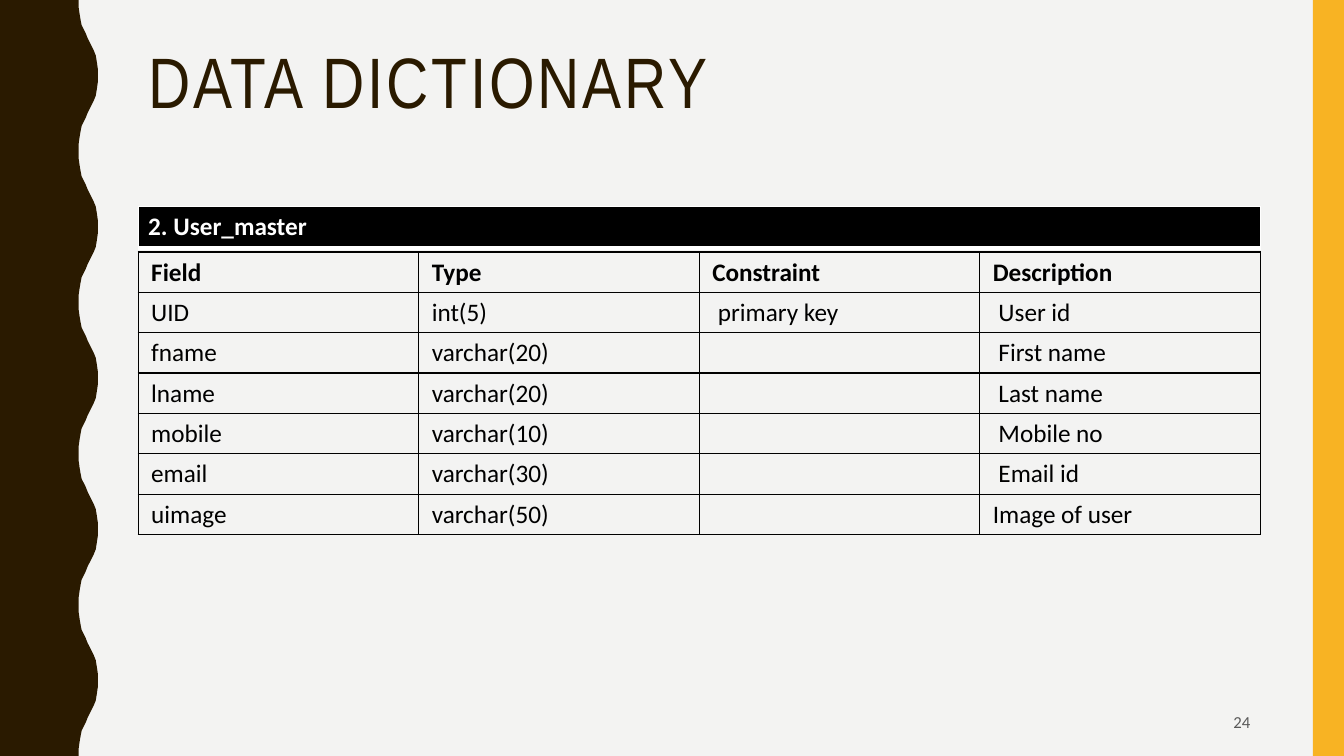
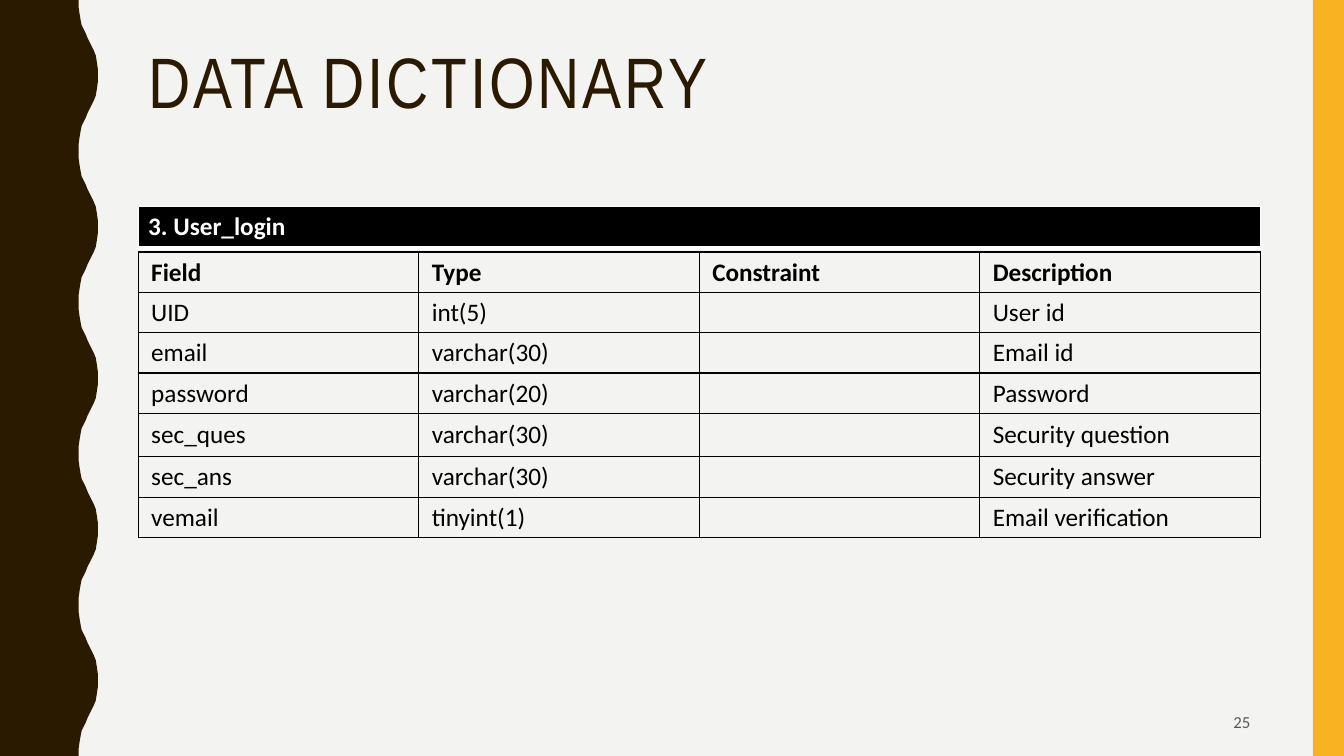
from lxml.etree import SubElement
from pptx import Presentation
from pptx.dml.color import RGBColor
from pptx.enum.shapes import MSO_SHAPE
from pptx.enum.text import MSO_ANCHOR, PP_ALIGN
from pptx.oxml.ns import qn
from pptx.util import Pt

PX = 9144
WIDTH, HEIGHT = 1333, 750

PAPER, BROWN, GOLD = "F3F3F2", "2A1A00", "F8B323"
BLACK, WHITE, GREY = "000000", "FFFFFF", "595959"

TITLE = "DATA DICTIONARY"
TITLE_FONT = {"name": "Arial Narrow", "size": Pt(51), "color": BROWN}
NUMBER_FONT = {"name": "Calibri", "size": Pt(12), "color": GREY}
BODY_FONT = {"name": "Calibri", "size": Pt(18), "color": BLACK, "bold": False}
HEADER_FONT = {**BODY_FONT, "bold": True}
CAPTION_FONT = {**HEADER_FONT, "color": WHITE}

GRID_BORDERS = {side: (BLACK, 1) for side in "LRTB"}
CAPTION_BORDERS = {"L": (WHITE, 1), "R": (WHITE, 1), "T": (WHITE, 1), "B": (WHITE, 3)}

LEFT, CONTENT_WIDTH = 137, 1113
CAPTION_TOP, CAPTION_HEIGHT = 205, 41
GRID_TOP, ROW_HEIGHT = 250, 40

WAVE_PERIOD = 150
WAVE_RISE = [
    (78, 0), (78, 7), (79, 14), (80, 20), (81, 25), (83, 29), (85, 33), (87, 38),
    (89, 42), (91, 46), (93, 50), (95, 55), (96, 61), (97, 68), (97, 75),
]

HEADER = ("Field", "Type", "Constraint", "Description")
ENTITIES = [
    {
        "number": "24",
        "caption": "2. User_master",
        "rows": [
            ("UID", "int(5)", " primary key", " User id"),
            ("fname", "varchar(20)", "", " First name"),
            ("lname", "varchar(20)", "", " Last name"),
            ("mobile", "varchar(10)", "", " Mobile no"),
            ("email", "varchar(30)", "", " Email id"),
            ("uimage", "varchar(50)", "", "Image of user"),
        ],
        "heights": {},
    },
    {
        "number": "25",
        "caption": "3. User_login",
        "rows": [
            ("UID", "int(5)", "", "User id"),
            ("email", "varchar(30)", "", "Email id"),
            ("password", "varchar(20)", "", "Password"),
            ("sec_ques", "varchar(30)", "", "Security question"),
            ("sec_ans", "varchar(30)", "", "Security answer"),
            ("vemail", "tinyint(1)", "", "Email verification"),
        ],
        "heights": {4: 43},
    },
]


def rgb(value):
    return RGBColor.from_string(value)


def scaled(*lengths):
    return [length * PX for length in lengths]


def paint(shape, color):
    shape.shadow.inherit = False
    shape.fill.solid()
    shape.fill.fore_color.rgb = rgb(color)
    shape.line.fill.background()


def write(para, text, font):
    span = para.add_run()
    span.text = text
    for key, value in font.items():
        if key == "color":
            span.font.color.rgb = rgb(value)
        else:
            setattr(span.font, key, value)
    return span


def add_text(page, place, text, font, anchor, **layout):
    frame = page.shapes.add_textbox(*scaled(*place)).text_frame
    frame.word_wrap = True
    frame.vertical_anchor = anchor
    para = frame.paragraphs[0]
    for key, value in layout.items():
        setattr(para, key, value)
    return write(para, text, font)


def add_wave(page):
    points = []
    for top in range(0, HEIGHT, WAVE_PERIOD):
        points += [(x, top + y) for x, y in WAVE_RISE]
        points += [(x, top + WAVE_PERIOD - y) for x, y in reversed(WAVE_RISE[:-1])]
    outline = page.shapes.build_freeform(0, 0, scale=PX)
    outline.add_line_segments(points + [(0, HEIGHT)], close=True)
    paint(outline.convert_to_shape(), BROWN)


def set_borders(cell, borders):
    properties = cell._tc.get_or_add_tcPr()
    for side, (color, width) in borders.items():
        line = SubElement(properties, qn(f"a:ln{side}"), w=str(Pt(width)))
        fill = SubElement(line, qn("a:solidFill"))
        SubElement(fill, qn("a:srgbClr"), val=color)


def add_grid(page, top, rows, heights, fonts, fill, borders, margin):
    columns = len(rows[0])
    place = scaled(LEFT, top, CONTENT_WIDTH, sum(heights))
    table = page.shapes.add_table(len(rows), columns, *place).table
    table.first_row = table.horz_banding = False
    for row, texts, height, font in zip(table.rows, rows, heights, fonts):
        row.height = height * PX
        for cell, text in zip(row.cells, texts):
            set_borders(cell, borders)
            cell.fill.solid()
            cell.fill.fore_color.rgb = rgb(fill)
            cell.margin_left = cell.margin_right = margin * PX
            cell.vertical_anchor = MSO_ANCHOR.MIDDLE
            if text:
                write(cell.text_frame.paragraphs[0], text, font)


def add_page(deck, entity):
    page = deck.slides.add_slide(deck.slide_layouts[6])
    add_wave(page)
    band = page.shapes.add_shape(MSO_SHAPE.RECTANGLE, *scaled(1302, 0, 31, HEIGHT))
    paint(band, GOLD)
    title = add_text(page, (LEFT, 42, CONTENT_WIDTH, 163), TITLE, TITLE_FONT,
                     MSO_ANCHOR.TOP, line_spacing=0.9)
    title.font._element.set("spc", "200")
    rows = [HEADER] + entity["rows"]
    heights = [entity["heights"].get(index, ROW_HEIGHT) for index in range(len(rows))]
    fonts = [HEADER_FONT] + [BODY_FONT] * len(entity["rows"])
    add_grid(page, GRID_TOP, rows, heights, fonts, PAPER, GRID_BORDERS, 13)
    add_text(page, (942, 697, 308, 38), entity["number"], NUMBER_FONT,
             MSO_ANCHOR.MIDDLE, alignment=PP_ALIGN.RIGHT)
    add_grid(page, CAPTION_TOP, [(entity["caption"],)], [CAPTION_HEIGHT],
             [CAPTION_FONT], BLACK, CAPTION_BORDERS, 10)


def main():
    deck = Presentation()
    deck.slide_width, deck.slide_height = scaled(WIDTH, HEIGHT)
    backdrop = deck.slide_master.background.fill
    backdrop.solid()
    backdrop.fore_color.rgb = rgb(PAPER)
    for entity in ENTITIES:
        add_page(deck, entity)
    deck.save("out.pptx")


if __name__ == "__main__":
    main()
